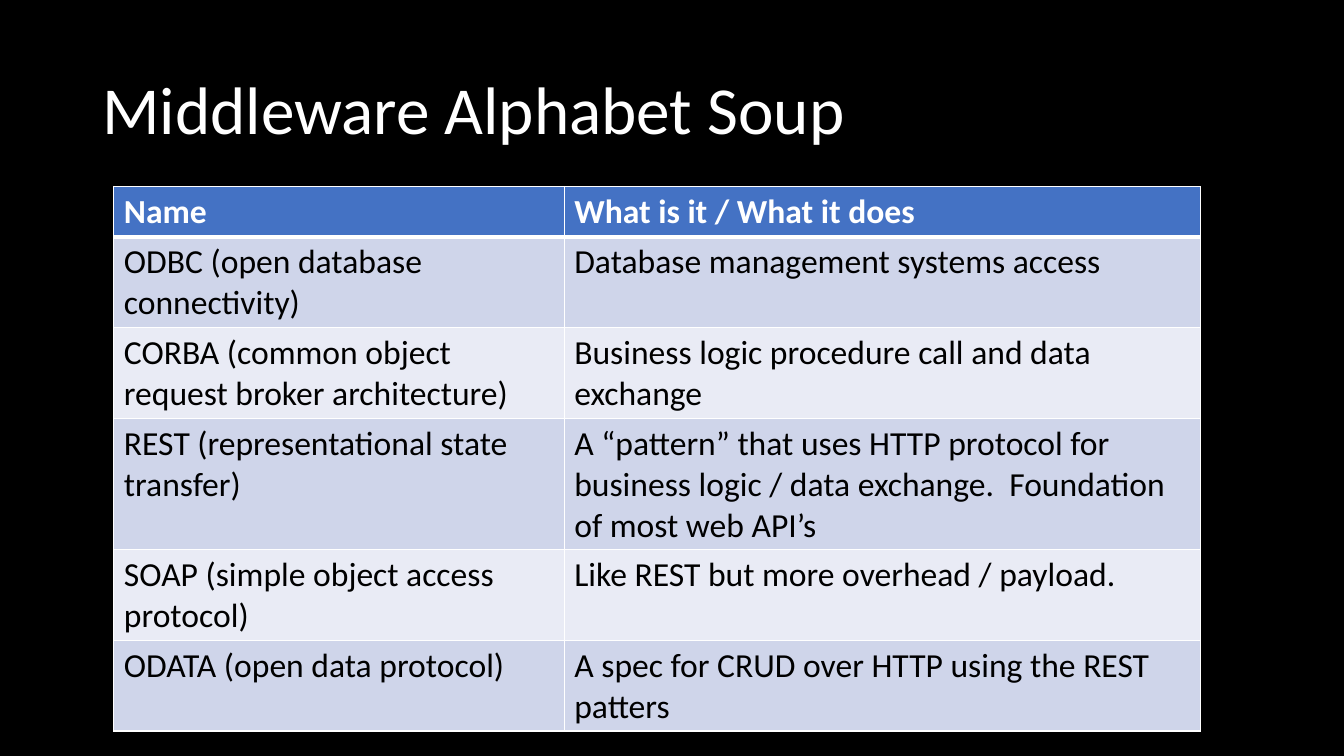
from dataclasses import dataclass

from lxml.etree import SubElement
from pptx import Presentation
from pptx.dml.color import RGBColor as Color
from pptx.enum.text import MSO_ANCHOR as Anchor
from pptx.oxml.ns import qn
from pptx.util import Cm, Pt


@dataclass(frozen=True)
class Theme:
    font: str = "Calibri"
    title_size: int = 48
    table_size: int = 24
    background: str = "000000"
    light: str = "FFFFFF"
    dark: str = "000000"
    header: str = "4472C4"
    bands: tuple = ("CFD5EA", "E9EBF5")
    border: int = 1
    header_border: int = 3


THEME = Theme()

TITLE = "Middleware Alphabet Soup"
ROWS = [
    ("Name", "What is it / What it does"),
    ("ODBC (open database connectivity)", "Database management systems access"),
    ("CORBA (common object request broker architecture)",
     "Business logic procedure call and data exchange"),
    ("REST (representational state transfer)",
     "A “pattern” that uses HTTP protocol for business logic / data exchange.  "
     "Foundation of most web API’s"),
    ("SOAP (simple object access protocol)", "Like REST but more overhead / payload."),
    ("ODATA (open data protocol)", "A spec for CRUD over HTTP using the REST patters"),
]
COLUMN_WIDTHS = (Cm(11.35), Cm(16.03))
ROW_HEIGHT = Cm(1.04)


def write_text(frame, text, *, size, color, bold=False, line_spacing=None):
    paragraph = frame.paragraphs[0]
    paragraph.line_spacing = line_spacing
    run = paragraph.add_run()
    run.text = text
    run.font.name = THEME.font
    run.font.size = Pt(size)
    run.font.bold = bold
    run.font.color.rgb = Color.from_string(color)


def set_borders(cell, bottom):
    """Draw all four edges; bottom is the width of the lower one in points."""
    properties = cell._tc.get_or_add_tcPr()
    widths = {"a:lnL": THEME.border, "a:lnR": THEME.border,
              "a:lnT": THEME.border, "a:lnB": bottom}
    for tag, width in widths.items():
        line = SubElement(properties, qn(tag), w=str(Pt(width)))
        fill = SubElement(line, qn("a:solidFill"))
        SubElement(fill, qn("a:srgbClr"), val=THEME.light)


def add_title(slide):
    box = slide.shapes.add_textbox(Cm(2.33), Cm(1.01), Cm(29.21), Cm(3.68))
    frame = box.text_frame
    frame.word_wrap = True
    frame.vertical_anchor = Anchor.MIDDLE
    write_text(frame, TITLE, size=THEME.title_size, color=THEME.light, line_spacing=0.9)


def format_cell(cell, text, row_index):
    is_header = row_index == 0
    set_borders(cell, THEME.header_border if is_header else THEME.border)
    band = THEME.bands[(row_index - 1) % len(THEME.bands)]
    cell.fill.solid()
    cell.fill.fore_color.rgb = Color.from_string(THEME.header if is_header else band)
    write_text(cell.text_frame, text, size=THEME.table_size, bold=is_header,
               color=THEME.light if is_header else THEME.dark)


def add_middleware_table(slide):
    table = slide.shapes.add_table(
        len(ROWS), len(COLUMN_WIDTHS), Cm(2.87), Cm(4.7),
        sum(COLUMN_WIDTHS), ROW_HEIGHT * len(ROWS)).table
    for column, width in zip(table.columns, COLUMN_WIDTHS):
        column.width = width
    for row_index, texts in enumerate(ROWS):
        for column_index, text in enumerate(texts):
            format_cell(table.cell(row_index, column_index), text, row_index)


def main():
    presentation = Presentation()
    presentation.slide_width = Cm(33.87)
    presentation.slide_height = Cm(19.05)
    slide = presentation.slides.add_slide(presentation.slide_layouts[6])
    background = slide.background.fill
    background.solid()
    background.fore_color.rgb = Color.from_string(THEME.background)
    add_title(slide)
    add_middleware_table(slide)
    presentation.save("out.pptx")


if __name__ == "__main__":
    main()
